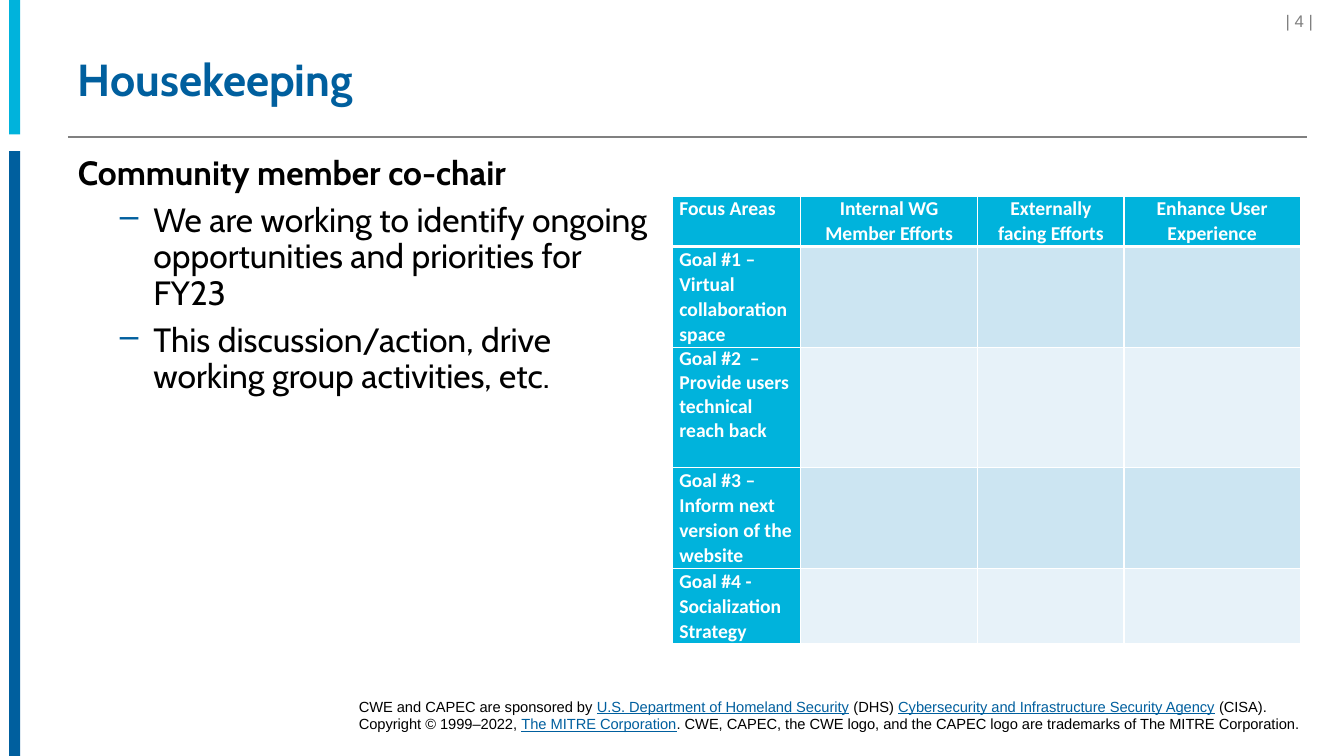
from pptx import Presentation
from pptx.dml.color import RGBColor
from pptx.enum.shapes import MSO_CONNECTOR, MSO_SHAPE
from pptx.enum.text import MSO_ANCHOR, PP_ALIGN
from pptx.oxml.ns import qn
from pptx.util import Pt
from lxml.etree import SubElement, Element

CYAN, BLUE, GREY, BLACK, WHITE = "00B3DC", "005F9E", "808080", "000000", "FFFFFF"
BANDS = ["CCE5F2", "E7F2F9"]

BULLETS = [
    "We are working to identify ongoing opportunities and priorities for FY23",
    "This discussion/action, drive working group activities, etc.",
]
HEADERS = ["Focus Areas", "Internal WG Member Efforts",
           "Externally facing Efforts", "Enhance User Experience"]
GOALS = [
    "Goal #1 – Virtual collaboration space",
    "Goal #2\u00a0 – Provide users technical reach back",
    "Goal #3 – Inform next version of the website",
    "Goal #4 - Socialization Strategy",
]
COL_WIDTHS = [91.5, 126.7, 104.4, 126]
ROW_HEIGHTS = [36, 72, 86, 72, 54]
# (text, is underlined link)
FOOTER = [
    ("CWE and CAPEC are sponsored by ", False),
    ("U.S. Department of Homeland Security", True),
    (" (DHS) ", False),
    ("Cybersecurity and Infrastructure Security Agency", True),
    (" (CISA). Copyright © 1999–2022, ", False),
    ("The MITRE Corporation", True),
    (". CWE, CAPEC, the CWE logo, and the CAPEC logo are trademarks of "
     "The MITRE Corporation.", False),
]


def rgb(color):
    return RGBColor.from_string(color)


def style(r, size, font, color, bold=False):
    r.font.size, r.font.name, r.font.bold = Pt(size), font, bold
    r.font.color.rgb = rgb(color)


def add_text_frame(s, x, y, w, h, inset=(7.2, 3.6)):
    tf = s.shapes.add_textbox(Pt(x), Pt(y), Pt(w), Pt(h)).text_frame
    tf.word_wrap = True
    tf.margin_left = tf.margin_right = Pt(inset[0])
    tf.margin_top = tf.margin_bottom = Pt(inset[1])
    return tf


def set_bullet(p, char, color, left, hanging):
    pPr = p._p.get_or_add_pPr()
    pPr.set("marL", str(Pt(left)))
    pPr.set("indent", str(-Pt(hanging)))
    SubElement(SubElement(pPr, qn("a:buClr")), qn("a:srgbClr"), val=color)
    SubElement(pPr, qn("a:buChar"), char=char)


def set_borders(cell, color, widths):
    """Draw the left, right, top and bottom borders with the given widths."""
    tcPr = cell._tc.get_or_add_tcPr()
    for i, (side, width) in enumerate(zip("LRTB", widths)):
        ln = Element(qn("a:ln" + side), w=str(Pt(width)))
        SubElement(SubElement(ln, qn("a:solidFill")), qn("a:srgbClr"), val=color)
        tcPr.insert(i, ln)


def add_side_bars(s, x, w):
    for y, h, color in [(0, 96, CYAN), (108, 432, BLUE)]:
        sp = s.shapes.add_shape(MSO_SHAPE.RECTANGLE, Pt(x), Pt(y), Pt(w), Pt(h))
        sp.shadow.inherit = False
        sp.fill.solid()
        sp.fill.fore_color.rgb = rgb(color)
        sp.line.fill.background()


def add_title(s, x, y, w, h):
    """Add the title and the rule below it."""
    rule_y = Pt(y + h + 10)
    rule = s.shapes.add_connector(MSO_CONNECTOR.STRAIGHT, Pt(x), rule_y, Pt(x + w), rule_y)
    rule.line.color.rgb = rgb(GREY)
    rule.line.width = Pt(1)
    SubElement(rule._element.spPr, qn("a:effectLst"))
    tf = add_text_frame(s, x, y, w, h)
    tf.vertical_anchor = MSO_ANCHOR.MIDDLE
    p = tf.paragraphs[0]
    p.text = "Housekeeping"
    p.line_spacing = 0.9
    style(p.runs[0], 32, "Cabin", BLUE, True)


def add_body(s, x, y, w, h):
    tf = add_text_frame(s, x, y, w, h)
    tf.text = "\n".join(["Community member co-chair"] + BULLETS)
    for i, p in enumerate(tf.paragraphs):
        if i:
            set_bullet(p, "–", BLUE, 54, 24)
        p.line_spacing = 0.9
        p.space_after = Pt(8)
        style(p.runs[0], 24, "Cabin", BLACK, i == 0)


def add_page_number(s, x, y, w, h):
    p = add_text_frame(s, x, y, w, h).paragraphs[0]
    p.text = "| 4 | "
    p.alignment = PP_ALIGN.RIGHT
    style(p.runs[0], 12, "Arial", GREY)


def add_footer(s, x, y, w, h):
    p = add_text_frame(s, x, y, w, h, (3.6, 3.6)).paragraphs[0]
    for text, link in FOOTER:
        r = p.add_run()
        r.text = text
        style(r, 10.5, "Arial", BLUE if link else BLACK)
        r.font.underline = link


def add_goal_table(s, x, y):
    rows = [HEADERS] + [[goal, "", "", ""] for goal in GOALS]
    table = s.shapes.add_table(len(rows), len(HEADERS), Pt(x), Pt(y),
                               Pt(sum(COL_WIDTHS)), Pt(sum(ROW_HEIGHTS))).table
    for column, width in zip(table.columns, COL_WIDTHS):
        column.width = Pt(width)
    for i, texts in enumerate(rows):
        table.rows[i].height = Pt(ROW_HEIGHTS[i])
        for j, text in enumerate(texts):
            cell = table.cell(i, j)
            cell.margin_left = cell.margin_right = Pt(5)
            cell.margin_top = cell.margin_bottom = 0
            cell.fill.solid()
            cell.fill.fore_color.rgb = rgb(BANDS[(i - 1) % 2] if i and j else CYAN)
            set_borders(cell, WHITE, (1, 1, 3 if i == 1 else 1, 3 if i == 0 else 1))
            if text:
                p = cell.text_frame.paragraphs[0]
                p.text = text
                p.line_spacing = 1.0 if i == 2 else 1.05
                p.alignment = PP_ALIGN.CENTER if j else PP_ALIGN.LEFT
                style(p.runs[0], 14, "Calibri", WHITE, True)


def main():
    prs = Presentation()
    prs.slide_width, prs.slide_height = Pt(960), Pt(540)
    s = prs.slides.add_slide(prs.slide_layouts[6])
    add_side_bars(s, 6.5, 8)
    add_footer(s, 252.7, 494.6, 687, 32.4)
    add_title(s, 48.5, 28.8, 885, 59)
    add_body(s, 48.5, 108, 431, 377)
    add_page_number(s, 809.3, 4.3, 139, 20)
    add_goal_table(s, 480.3, 140)
    prs.save("out.pptx")


if __name__ == "__main__":
    main()
